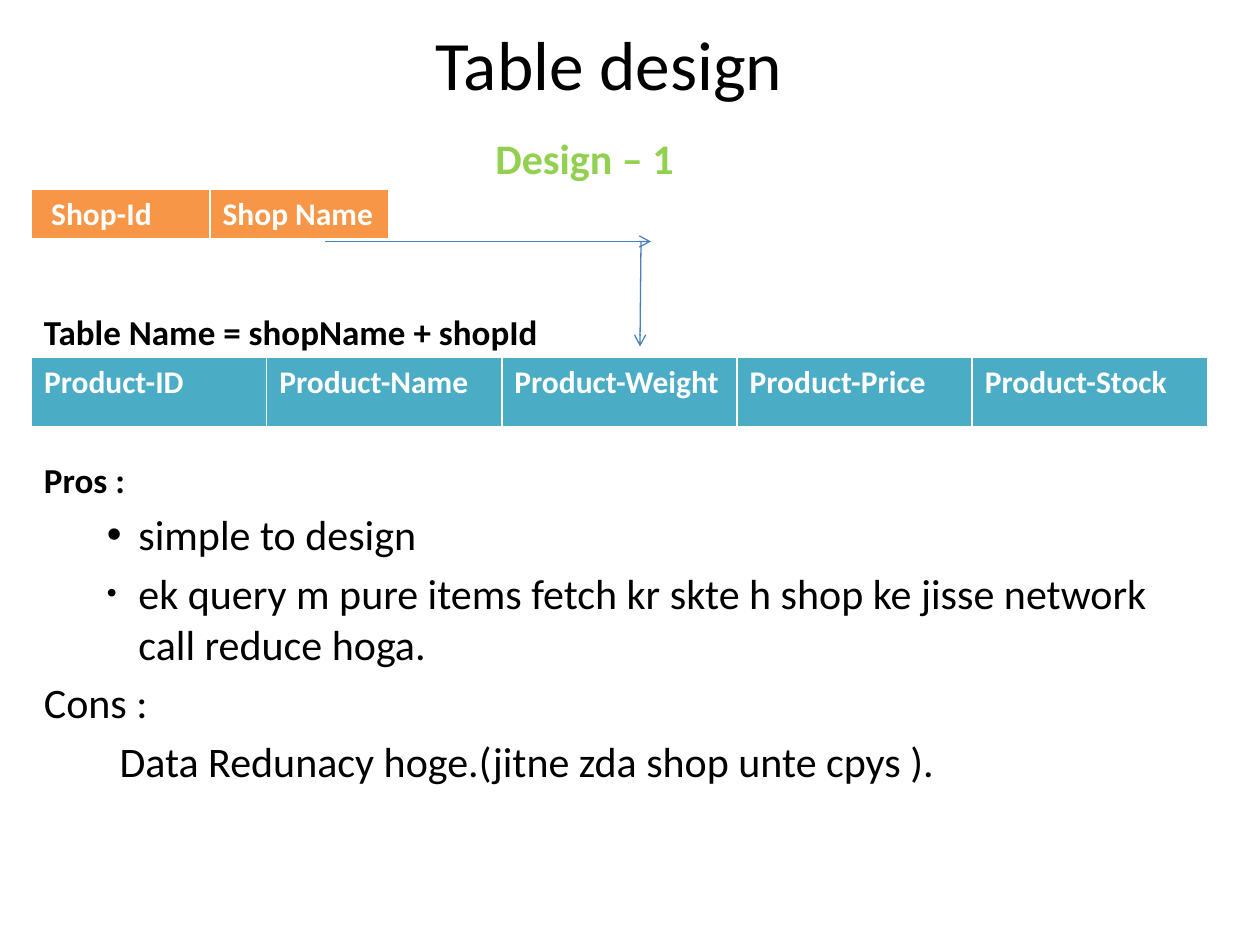
from lxml import etree
from pptx import Presentation
from pptx.dml.color import RGBColor
from pptx.enum.shapes import MSO_CONNECTOR
from pptx.enum.text import MSO_ANCHOR, PP_ALIGN
from pptx.oxml.ns import qn
from pptx.util import Pt

STRAIGHT = MSO_CONNECTOR.STRAIGHT
TOP, MIDDLE = MSO_ANCHOR.TOP, MSO_ANCHOR.MIDDLE
LEFT, CENTER = PP_ALIGN.LEFT, PP_ALIGN.CENTER

BLACK = RGBColor(0x00, 0x00, 0x00)
WHITE = RGBColor(0xFF, 0xFF, 0xFF)
GREEN = RGBColor(0x92, 0xD0, 0x50)
ORANGE = RGBColor(0xF7, 0x96, 0x46)
TEAL = RGBColor(0x4B, 0xAC, 0xC6)
BLUE = RGBColor(0x4B, 0x7E, 0xBC)
FONT = "Calibri"

# text, size, bold, space before, left indent, bullet size in percent
NOTES = [
    ("Table Name = shopName + shopId", 20, True, 0, 0, None),
    ("Pros :", 20, True, 60.8, 0, None),
    ("simple to design", 24, False, 4.8, 54, 100),
    ("ek query m pure items fetch kr skte h shop ke jisse network "
     "call reduce hoga.", 24, False, 4.8, 54, 67),
    ("Cons :", 24, False, 4.8, 0, None),
    ("Data Redunacy hoge.(jitne zda shop unte cpys ).", 24, False, 4.8, 43.2, None),
]


def style(paragraph, size, color, bold=False, align=LEFT):
    """Set the font and alignment of a paragraph."""
    font = paragraph.font
    font.name, font.size, font.bold = FONT, Pt(size), bold
    font.color.rgb = color
    paragraph.alignment = align


def add_text_frame(slide, box, anchor=TOP):
    """Place a wrapping text box and return its text frame."""
    frame = slide.shapes.add_textbox(*(Pt(length) for length in box)).text_frame
    frame.word_wrap = True
    frame.vertical_anchor = anchor
    return frame


def add_heading(slide, box, text, size, color, bold=False, align=LEFT, anchor=TOP):
    """Place a one-line heading in the box."""
    paragraph = add_text_frame(slide, box, anchor).paragraphs[0]
    paragraph.text = text
    style(paragraph, size, color, bold, align)


def add_notes(slide, box, notes):
    """Place the table caption with the pros and cons below it."""
    frame = add_text_frame(slide, box)
    for index, (text, size, bold, before, indent, bullet) in enumerate(notes):
        paragraph = frame.add_paragraph() if index else frame.paragraphs[0]
        paragraph.text = text
        style(paragraph, size, BLACK, bold)
        paragraph.space_before = Pt(before)
        properties = paragraph._p.get_or_add_pPr()
        properties.set("marL", str(Pt(indent)))
        if bullet:
            properties.set("indent", str(Pt(-18)))
            scale = etree.SubElement(properties, qn("a:buSzPct"))
            scale.set("val", str(bullet * 1000))
            etree.SubElement(properties, qn("a:buFont")).set("typeface", "Arial")
            etree.SubElement(properties, qn("a:buChar")).set("char", "•")
            # The default run properties come after the bullet in the schema.
            properties.append(properties.find(qn("a:defRPr")))


def set_borders(cell):
    """Give a cell thin white borders and a thick one at the bottom."""
    properties = cell._tc.get_or_add_tcPr()
    for index, (side, width) in enumerate(zip("LRTB", (1, 1, 1, 3))):
        line = etree.Element(qn("a:ln" + side), w=str(Pt(width)))
        fill = etree.SubElement(line, qn("a:solidFill"))
        etree.SubElement(fill, qn("a:srgbClr")).set("val", str(WHITE))
        properties.insert(index, line)


def add_schema(slide, box, fields, color):
    """Place a one-row table with equal columns that names the fields."""
    left, top, width, height = (Pt(length) for length in box)
    table = slide.shapes.add_table(1, len(fields), left, top, width, height).table
    for column, field in enumerate(fields):
        table.columns[column].width = width // len(fields)
        cell = table.cell(0, column)
        cell.text = field
        style(cell.text_frame.paragraphs[0], 18, WHITE, True)
        cell.fill.solid()
        cell.fill.fore_color.rgb = color
        set_borders(cell)


def add_arrow(slide, start, end):
    """Draw a thin arrow from start to end."""
    arrow = slide.shapes.add_connector(
        STRAIGHT, *(Pt(length) for length in start + end))
    arrow.line.color.rgb = BLUE
    arrow.line.width = Pt(0.75)
    etree.SubElement(arrow.line._get_or_add_ln(), qn("a:tailEnd")).set("type", "arrow")
    etree.SubElement(arrow._element.spPr, qn("a:effectLst"))


def build_table_design(slide):
    """Build the slide on the first table design."""
    add_heading(slide, (24, 12, 648, 48), "Table design", 39.6, BLACK,
                align=CENTER, anchor=MIDDLE)
    add_notes(slide, (18, 173.6, 660, 342.4), NOTES)
    add_schema(slide, (18, 108, 204, 29.2), [" Shop-Id", "Shop Name"], ORANGE)
    add_arrow(slide, (366.3, 138), (365.7, 198))
    add_arrow(slide, (186, 138), (372, 138))
    add_schema(slide, (18, 204, 672, 41), [
        "Product-" + part for part in ("ID", "Name", "Weight", "Price", "Stock")], TEAL)
    add_heading(slide, (276, 72, 144, 36), "Design – 1", 24, GREEN, bold=True)


presentation = Presentation()
presentation.slide_width, presentation.slide_height = Pt(720), Pt(540)
build_table_design(presentation.slides.add_slide(presentation.slide_layouts[6]))
presentation.save("out.pptx")
